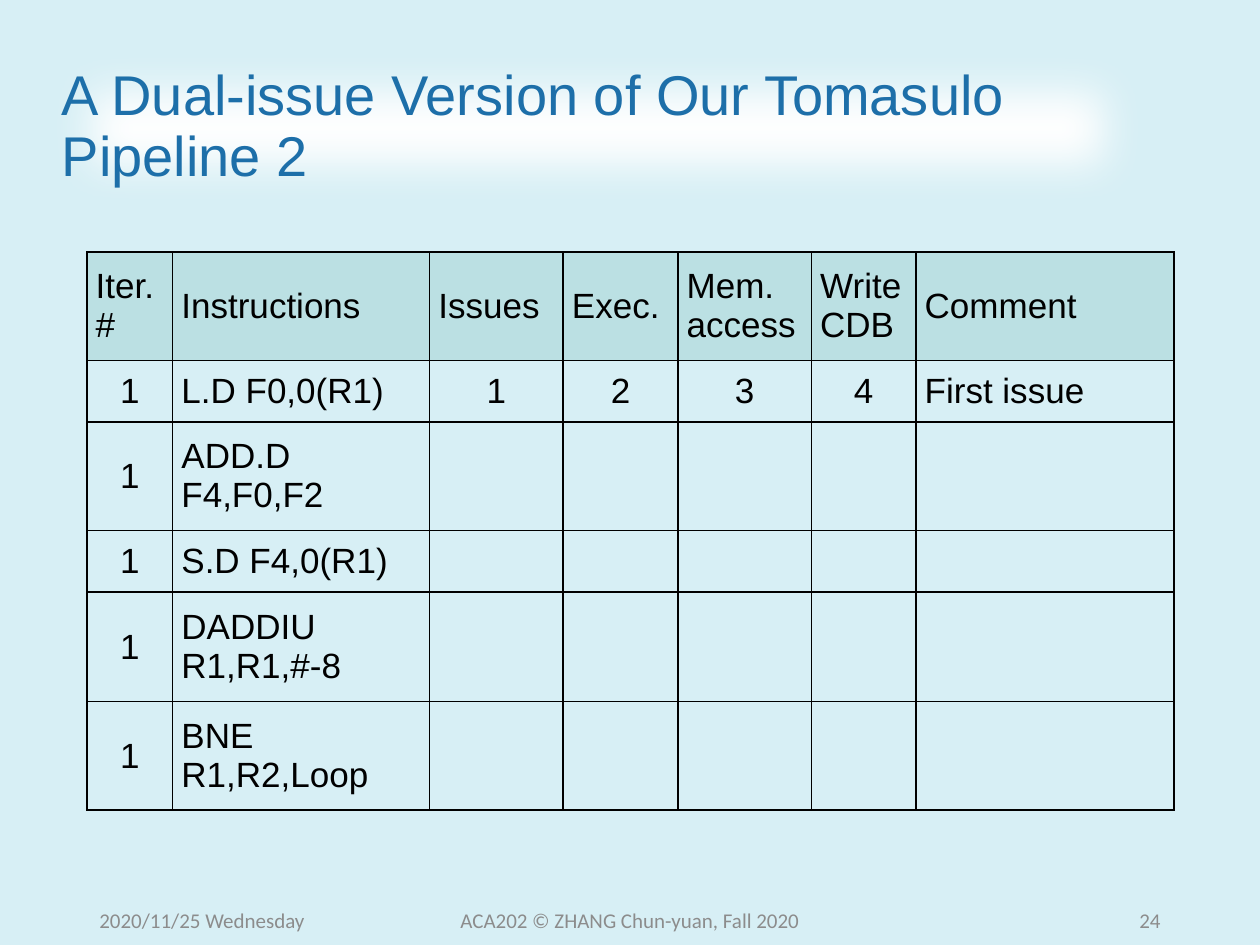
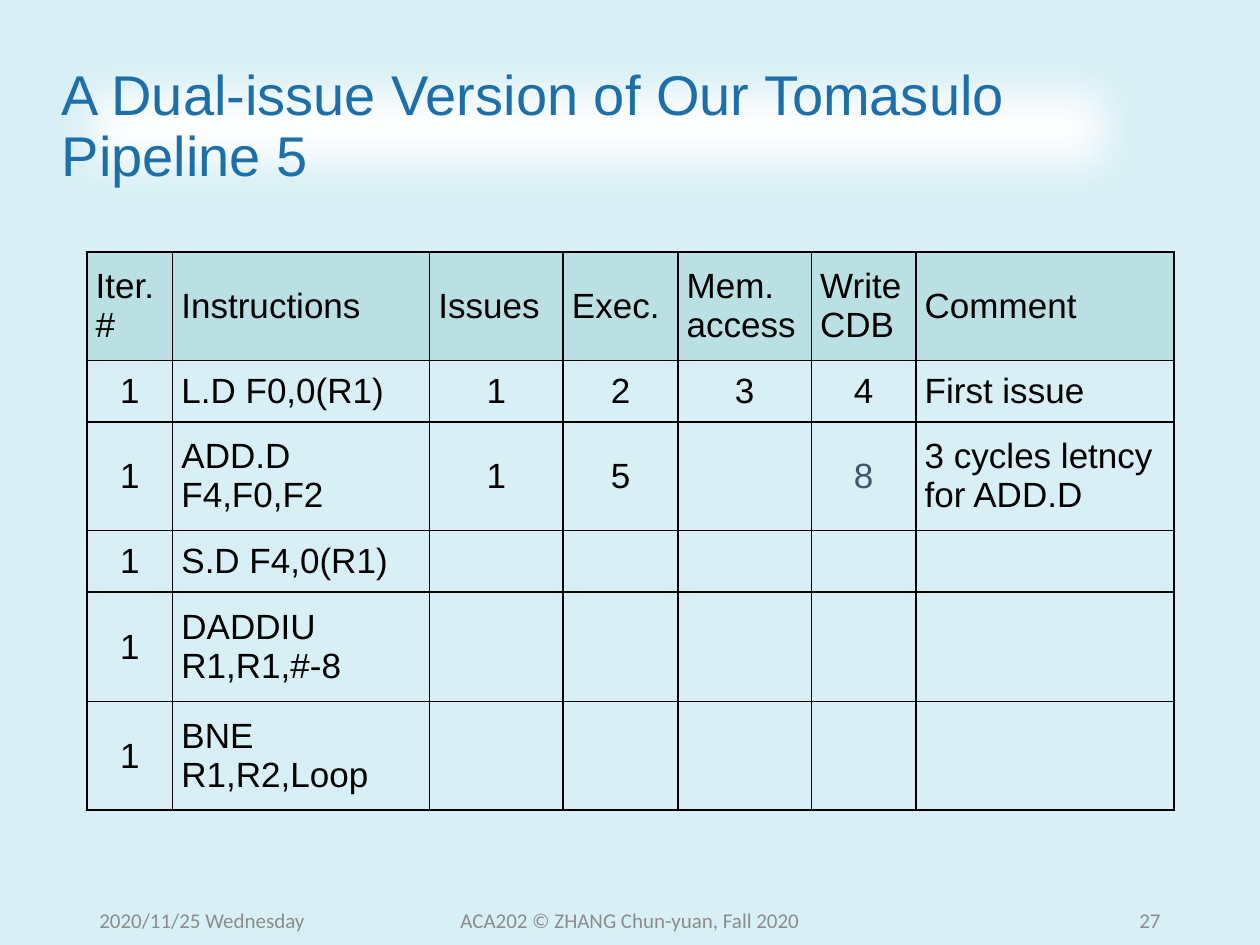
from pptx import Presentation
from pptx.dml.color import RGBColor
from pptx.enum.text import MSO_ANCHOR, MSO_AUTO_SIZE, PP_ALIGN
from pptx.oxml import parse_xml
from pptx.oxml.ns import nsdecls
from pptx.util import Inches, Pt

HEX = {"sky": "D7EFF5", "white": "FFFFFF", "blue": "1D6FA9", "teal": "BBE0E3",
       "black": "000000", "slate": "44546A", "gray": "8C8C8C"}
FONT = {"title": {"name": "Arial", "size": Pt(32), "bold": False},
        "cell": {"name": "Arial", "size": Pt(20), "bold": False},
        "foot": {"name": "Calibri", "size": Pt(12)}}
PAD = {"margin_left": Inches(0.07), "margin_right": Inches(0.07),
       "margin_top": Inches(0.04), "margin_bottom": Inches(0.04),
       "vertical_anchor": MSO_ANCHOR.MIDDLE}
BOX = {"word_wrap": True, "auto_size": MSO_AUTO_SIZE.NONE,
       "vertical_anchor": MSO_ANCHOR.MIDDLE}
PLAIN = {"first_row": False, "horz_banding": False}
LEFT, MID, RIGHT, EVEN = (PP_ALIGN.LEFT, PP_ALIGN.CENTER,
                          PP_ALIGN.RIGHT, PP_ALIGN.JUSTIFY)
WIDE = [6.8, 20.4, 10.6, 9.1, 10.6, 8.3, 20.5]
HIGH = [8.6, 4.9, 8.6, 4.9, 8.7, 8.6]
ALIGN = [MID, EVEN, MID, MID, MID, MID, EVEN]
HEAD = ["Iter. #", "Instructions", "Issues", "Exec.", "Mem. access",
        "Write CDB", "Comment"]
CODE = ["L.D F0,0(R1)", "ADD.D F4,F0,F2", "S.D F4,0(R1)",
        "DADDIU R1,R1,#-8", "BNE R1,R2,Loop"]
LOAD = ["1", "2", "3", "4", "First issue"]
ADD = ["1", "5", "", ("8", {"hue": "slate"}),
       ("3 cycles letncy for ADD.D", {"side": LEFT})]


def apply(item, form):
    for key, val in form.items():
        setattr(item, key, val)


def unit(num):
    return Inches(num / 10)


class Deck:
    """Holds the style and the current slide on a grid of 100 columns by 75 rows."""

    def __init__(self):
        self.file = Presentation()
        apply(self.file, {"slide_width": unit(100), "slide_height": unit(75)})
        self.paint(self.file.slide_master.background.fill, "sky")

    def paint(self, fill, hue):
        fill.solid()
        fill.fore_color.rgb = RGBColor.from_string(HEX[hue])

    def label(self, frame, text, font, hue, side):
        par = frame.paragraphs[0]
        par.alignment = side
        run = par.add_run()
        run.text = text
        apply(run.font, FONT[font])
        run.font.color.rgb = RGBColor.from_string(HEX[hue])
        return par

    def page(self, title, num):
        self.slide = self.file.slides.add_slide(self.file.slide_layouts[5])
        self.title(title)
        self.foot(6.9, 22.5, "2020/11/25 Wednesday", LEFT)
        self.foot(33.1, 33.8, "ACA202 © ZHANG Chun-yuan, Fall 2020", MID)
        self.foot(70.6, 22.5, str(num), RIGHT)

    def title(self, text):
        shape = self.slide.shapes.title
        apply(shape, {"left": unit(3.9), "top": unit(4),
                      "width": unit(86.9), "height": unit(12.3)})
        self.paint(shape.fill, "white")
        soft = f'<a:effectLst {nsdecls("a")}><a:softEdge rad="{Pt(25)}"/></a:effectLst>'
        shape.element.spPr.append(parse_xml(soft))
        apply(shape.text_frame, BOX)
        par = self.label(shape.text_frame, text, "title", "blue", LEFT)
        par.line_spacing = 0.9

    def foot(self, left, width, text, side):
        box = self.slide.shapes.add_textbox(unit(left), unit(71), unit(width), unit(4))
        apply(box.text_frame, BOX)
        self.label(box.text_frame, text, "foot", "gray", side)

    def edge(self, cell):
        prop = cell._tc.get_or_add_tcPr()
        for side in "LRTB":
            prop.append(parse_xml(
                f'<a:ln{side} {nsdecls("a")} w="{Pt(1)}"><a:solidFill>'
                f'<a:srgbClr val="{HEX["black"]}"/></a:solidFill></a:ln{side}>'))

    def cell(self, cell, item, head, side):
        text, form = item if isinstance(item, tuple) else (item, {})
        apply(cell, PAD)
        self.edge(cell)
        if head:
            self.paint(cell.fill, "teal")
        else:
            cell.fill.background()
        if text:
            self.label(cell.text_frame, text, "cell", form.get("hue", "black"),
                       form.get("side", side))

    def table(self, rows):
        grid = self.slide.shapes.add_table(
            len(HIGH), len(WIDE), unit(6.9), unit(20),
            unit(sum(WIDE)), unit(sum(HIGH))).table
        apply(grid, PLAIN)
        for col, width in zip(grid.columns, WIDE):
            col.width = unit(width)
        for row, height in zip(grid.rows, HIGH):
            row.height = unit(height)
        for r, row in enumerate(rows):
            for c, item in enumerate(row):
                self.cell(grid.cell(r, c), item, r == 0, ALIGN[c] if r else EVEN)


def fill(*done):
    blank = [[""] * 5] * (len(CODE) - len(done))
    return [HEAD] + [["1", code, *data] for code, data in zip(CODE, [*done, *blank])]


deck = Deck()
for step, num, rows in [(2, 24, fill(LOAD)), (5, 27, fill(LOAD, ADD))]:
    deck.page(f"A Dual-issue Version of Our Tomasulo Pipeline {step}", num)
    deck.table(rows)
deck.file.save("out.pptx")
